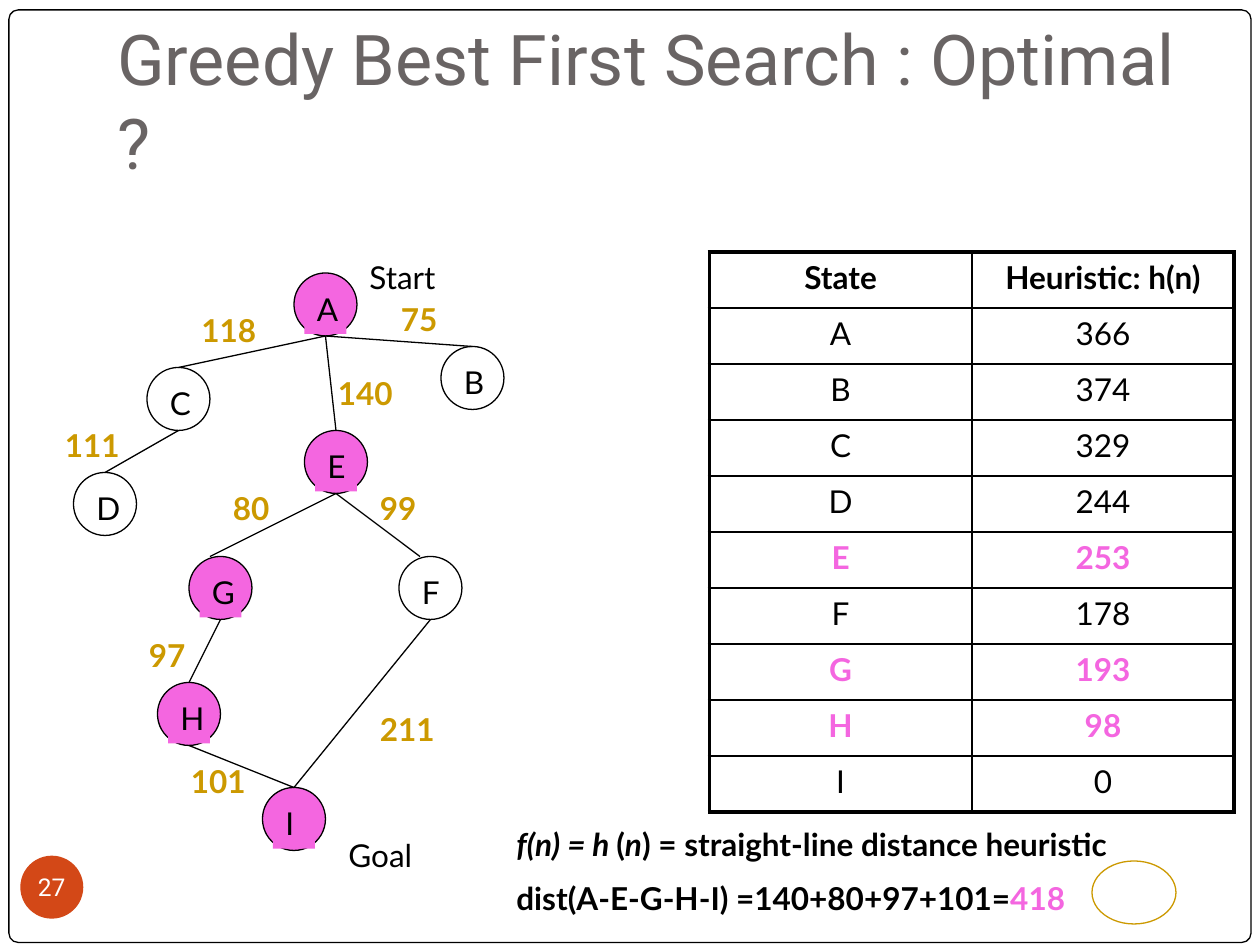
"""Build the slide on whether greedy best first search is optimal."""
from lxml import etree
from pptx import Presentation
from pptx.dml.color import RGBColor
from pptx.enum.shapes import MSO_CONNECTOR, MSO_SHAPE
from pptx.enum.text import MSO_ANCHOR, MSO_AUTO_SIZE, PP_ALIGN
from pptx.oxml.ns import qn
from pptx.util import Cm, Pt

ELLIPSE, ROUNDED = MSO_SHAPE.OVAL, MSO_SHAPE.ROUNDED_RECTANGLE
STRAIGHT = MSO_CONNECTOR.STRAIGHT
LEFT, CENTER = PP_ALIGN.LEFT, PP_ALIGN.CENTER
BLACK, WHITE, PINK, GOLD = "000000", "FFFFFF", "F466E0", "CC9900"
GRID = Cm(2.54) // 12
NODE = 6 * GRID
LABEL_H = Cm(1.02)


def rgb(value):
    return RGBColor.from_string(value)


def write(p, text, size=18, color=BLACK, bold=False, italic=False, font="Lato", align=LEFT):
    p.alignment = align
    r = p.add_run()
    r.text = text
    r.font.size, r.font.name = Pt(size), font
    r.font.bold, r.font.italic = bold, italic
    r.font.color.rgb = rgb(color)


prs = Presentation()
prs.slide_width, prs.slide_height = Cm(25.4), Cm(19.05)
s = prs.slides.add_slide(prs.slide_layouts[5])

frame = s.shapes.add_shape(ROUNDED, Cm(0.18), Cm(0.2), Cm(25.04), Cm(18.8))
frame.adjustments[0] = 0.01
frame.shadow.inherit = False
frame.fill.solid()
frame.fill.fore_color.rgb = rgb(WHITE)
frame.line.color.rgb = rgb(BLACK)
frame.line.width = Pt(0.75)
s.shapes._spTree.insert(2, frame._element)

title = s.shapes.title
title.left, title.top, title.width, title.height = Cm(2.11), Cm(1.27), Cm(22.02), Cm(2.67)
tf = title.text_frame
tf.auto_size = MSO_AUTO_SIZE.NONE
tf.word_wrap = True
tf.vertical_anchor = MSO_ANCHOR.BOTTOM
tf.margin_bottom = Cm(0.25)
write(tf.paragraphs[0], "Greedy Best First Search : Optimal ?", size=40, color="696464", font="Roboto")

badge = s.shapes.add_shape(ELLIPSE, Cm(0.41), Cm(17.25), NODE, NODE)
badge.shadow.inherit = False
badge.fill.solid()
badge.fill.fore_color.rgb = rgb("D34817")
badge.line.fill.background()
tf = badge.text_frame
tf.margin_left = tf.margin_top = tf.margin_right = tf.margin_bottom = 0
tf.vertical_anchor = MSO_ANCHOR.MIDDLE
write(tf.paragraphs[0], "27", size=14, color=WHITE, font="Roboto", align=CENTER)

rows = [
    ("State", "Heuristic: h(n)"), ("A", "366"), ("B", "374"), ("C", "329"), ("D", "244"),
    ("E", "253"), ("F", "178"), ("G", "193"), ("H", "98"), ("I", "0"),
]
last = len(rows) - 1
table = s.shapes.add_table(len(rows), 2, Cm(14.3), Cm(5.08), Cm(10.58), Cm(11.3)).table
table.first_row = table.horz_banding = False
for i, row in enumerate(rows):
    table.rows[i].height = Cm(1.13)
    for j, value in enumerate(row):
        table.columns[j].width = Cm(5.29)
        cell = table.cell(i, j)
        cell.fill.background()
        on_path = row[0] in "EGH"
        write(cell.text_frame.paragraphs[0], value, color=PINK if on_path else BLACK,
              bold=on_path or i == 0, align=CENTER)
        outer = {"lnL": j == 0, "lnR": j == 1, "lnT": i == 0, "lnB": i == last}
        for k, (side, thick) in enumerate(outer.items()):
            ln = etree.Element(qn(f"a:{side}"), w=str(Pt(2.25 if thick else 1)))
            fill = etree.SubElement(ln, qn("a:solidFill"))
            etree.SubElement(fill, qn("a:srgbClr"), val=BLACK)
            cell._tc.get_or_add_tcPr().insert(k, ln)

nodes = {
    "A": (28, 26), "B": (42, 33), "C": (14, 35), "D": (7, 45), "E": (29, 41),
    "F": (38, 53), "G": (18, 53), "H": (15, 65), "I": (25, 75),
}
ovals = {}
for name, (x, y) in nodes.items():
    group = s.shapes.add_group_shape()
    oval = group.shapes.add_shape(ELLIPSE, x * GRID, y * GRID, NODE, NODE)
    oval.shadow.inherit = False
    oval.line.color.rgb = rgb(BLACK)
    oval.line.width = Pt(0.75)
    label = group.shapes.add_textbox((x + 1) * GRID, (y + 1) * GRID, 4 * GRID, LABEL_H)
    label.text_frame.word_wrap = True
    write(label.text_frame.paragraphs[0], name)
    for sp in (oval, label):
        if name in "AEGHI":
            sp.fill.solid()
            sp.fill.fore_color.rgb = rgb(PINK)
        else:
            sp.fill.background()
    ovals[name] = oval

end_shift = {"EG": -1, "EF": -1}
for edge in ("AB", "AC", "AE", "CD", "EF", "EG", "GH", "HI", "FI"):
    (x1, y1), (x2, y2) = nodes[edge[0]], nodes[edge[1]]
    shift = end_shift.get(edge, 0)
    line = s.shapes.add_connector(STRAIGHT, (x1 + 3) * GRID, (y1 + 6) * GRID,
                                  (x2 + 3 + shift) * GRID, y2 * GRID)
    if not shift:
        line.end_connect(ovals[edge[1]], 0)
    line.line.color.rgb = rgb(BLACK)
    line.line.width = Pt(0.75)
    etree.SubElement(line._element.spPr, qn("a:effectLst"))

labels = [
    ("118", 18, 29, 10), ("75", 37, 28, 8), ("140", 31, 35, 10), ("111", 5, 40, 10),
    ("80", 21, 46, 8), ("99", 35, 46, 8), ("97", 13, 60, 8), ("101", 17, 72, 11),
    ("211", 35, 67, 10), ("Start", 34, 24, 16), ("Goal", 32, 79, 16),
]
for text, x, y, width in labels:
    weight = text.isdigit()
    tf = s.shapes.add_textbox(x * GRID, y * GRID, width * GRID, LABEL_H).text_frame
    tf.word_wrap = True
    write(tf.paragraphs[0], text, color=GOLD if weight else BLACK, bold=weight)

tf = s.shapes.add_textbox(Cm(10.16), Cm(16.51), Cm(15.24), Cm(2.16)).text_frame
tf.word_wrap = True
p = tf.paragraphs[0]
for text, italic in (("f(n) = h ", True), ("(", False), ("n", True),
                     (") = straight-line distance heuristic", False)):
    write(p, text, bold=True, italic=italic)
p = tf.add_paragraph()
p.space_before = Pt(9)
write(p, "dist(A-E-G-H-I) =140+80+97+101=", bold=True)
write(p, "418", color=PINK, bold=True)

ring = s.shapes.add_shape(ELLIPSE, 104 * GRID, 82 * GRID, 8 * GRID, NODE)
ring.shadow.inherit = False
ring.fill.background()
ring.line.color.rgb = rgb(GOLD)
ring.line.width = Pt(0.75)

prs.save("out.pptx")
